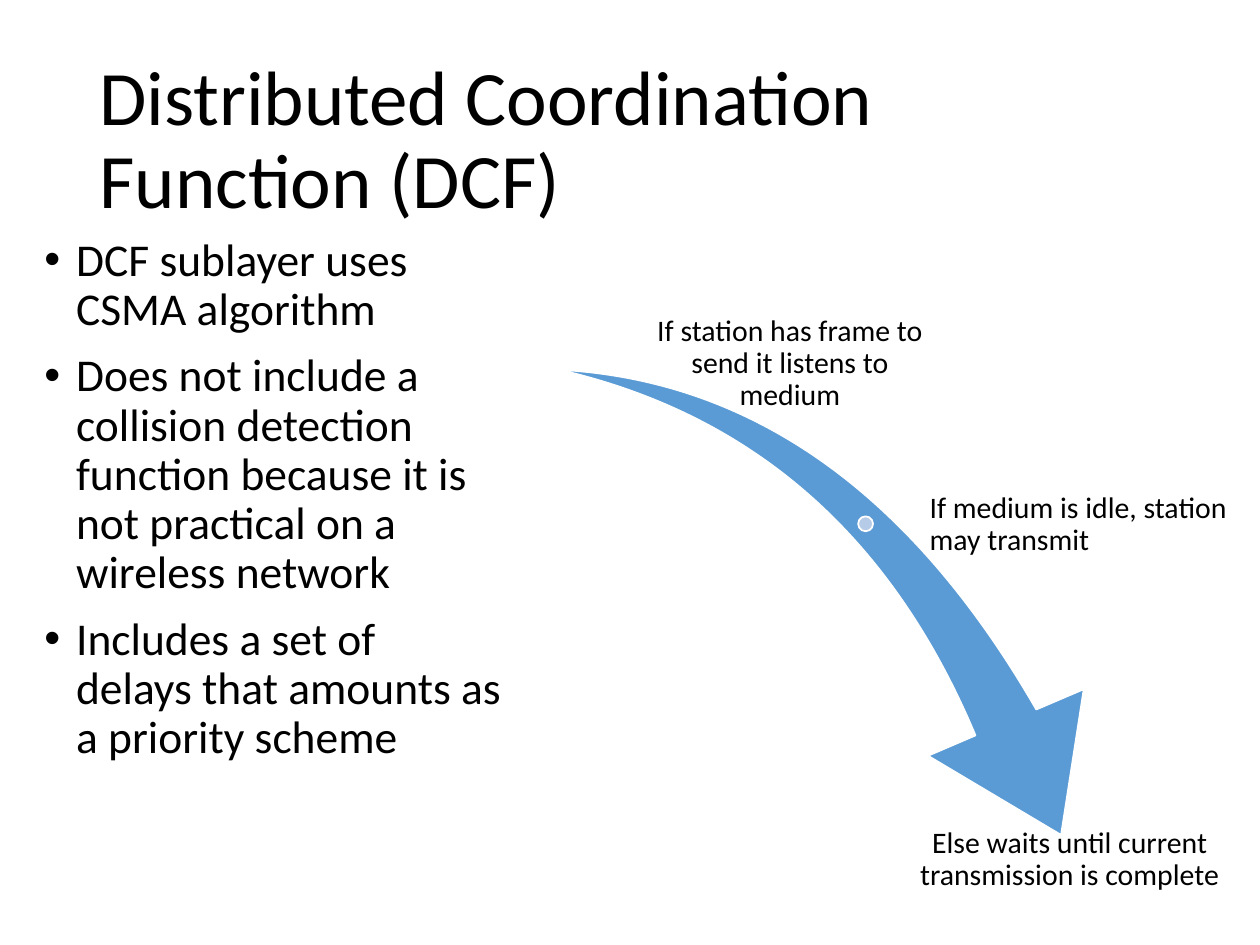
from dataclasses import dataclass

from pptx import Presentation
from pptx import util as u
from pptx.dml.color import RGBColor
from pptx.enum import shapes, text
from pptx.oxml import parse_xml
from pptx.oxml.ns import nsdecls


@dataclass(frozen=True)
class Theme:
    """Colours, font and type sizes of the slide."""
    font: str = "Calibri"
    ink: str = "000000"
    arrow: str = "5B9BD5"
    dot: str = "B5CBE7"
    outline: str = "FFFFFF"
    title_size: int = 44
    body_size: int = 26
    label_size: int = 17


@dataclass(frozen=True)
class Box:
    """A rectangle in centimetres."""
    left: float
    top: float
    width: float
    height: float

    def inside(self, left, top, width, height):
        """Return a box whose offset is measured from this one."""
        return Box(self.left + left, self.top + top, width, height)

    def lengths(self):
        """Return left, top, width and height as slide lengths."""
        return [u.Cm(value) for value in (self.left, self.top, self.width, self.height)]


THEME = Theme()
BULLETS = [
    "DCF sublayer uses CSMA algorithm",
    "Does not include a collision detection function because it is not practical on a wireless network",
    "Includes a set of delays that amounts as a priority scheme",
]
CENTER, LEFT = text.PP_ALIGN.CENTER, text.PP_ALIGN.LEFT
BOTTOM, MIDDLE, TOP = text.MSO_ANCHOR.BOTTOM, text.MSO_ANCHOR.MIDDLE, text.MSO_ANCHOR.TOP
LABELS = [
    ("If station has frame to send it listens to medium", (2.13, 0, 5.59, 2.21), CENTER, BOTTOM),
    ("If medium is idle, station may transmit", (7.69, 3.32, 6.65, 2.21), LEFT, MIDDLE),
    ("Else waits until current transmission is complete", (6.78, 10.49, 7.57, 2.21), CENTER, TOP),
]


def place(shape, box):
    """Move and size a shape to fill the box."""
    shape.left, shape.top, shape.width, shape.height = box.lengths()


def add_bullet(paragraph, indent):
    """Give a paragraph a round bullet and a hanging indent."""
    properties = paragraph._p.get_or_add_pPr()
    properties.set("marL", str(indent))
    properties.set("indent", str(-indent))
    properties.append(parse_xml(f'<a:buFont {nsdecls("a")} typeface="Arial"/>'))
    properties.append(parse_xml(f'<a:buChar {nsdecls("a")} char="•"/>'))


def write(frame, lines, size, align=LEFT, anchor=TOP, inset=None, gap=0, indent=None):
    """Write lines as formatted paragraphs into a text frame."""
    frame.word_wrap = True
    frame.auto_size = text.MSO_AUTO_SIZE.NONE
    frame.vertical_anchor = anchor
    if inset is not None:
        frame.margin_left = frame.margin_right = u.Cm(inset)
        frame.margin_top = frame.margin_bottom = u.Cm(inset)
    for index, line in enumerate(lines):
        paragraph = frame.add_paragraph() if index else frame.paragraphs[0]
        paragraph.alignment = align
        paragraph.line_spacing = 0.9
        paragraph.space_before = u.Pt(gap if index else 0)
        if indent is not None:
            add_bullet(paragraph, u.Cm(indent))
        run = paragraph.add_run()
        run.text = line
        run.font.name = THEME.font
        run.font.size = u.Pt(size)
        run.font.color.rgb = RGBColor.from_string(THEME.ink)


def add_filled_shape(slide, kind, box, fill):
    """Add a preset shape with a solid fill and a thin outline."""
    shape = slide.shapes.add_shape(kind, *box.lengths())
    shape.shadow.inherit = False
    shape.fill.solid()
    shape.fill.fore_color.rgb = RGBColor.from_string(fill)
    shape.line.color.rgb = RGBColor.from_string(THEME.outline)
    shape.line.width = u.Pt(1)
    return shape


def build_title(slide, box):
    """Fill the title placeholder."""
    title = slide.shapes.title
    place(title, box)
    write(title.text_frame, ["Distributed Coordination Function (DCF)"],
          THEME.title_size, anchor=MIDDLE)


def build_body(slide, box):
    """Fill the body placeholder with the bullet list."""
    body = slide.placeholders[1]
    place(body, box)
    write(body.text_frame, BULLETS, THEME.body_size, gap=10, indent=0.64)


def build_process(slide, box):
    """Draw the swoosh arrow with its dot and step labels."""
    arrow = add_filled_shape(slide, shapes.MSO_SHAPE.SWOOSH_ARROW,
                             box.inside(0, 1.67, 11.89, 8.28), THEME.arrow)
    arrow.rotation = 73.3
    arrow.adjustments[0], arrow.adjustments[1] = 0.16, 0.31
    add_filled_shape(slide, shapes.MSO_SHAPE.OVAL,
                     box.inside(6.3, 4.26, 0.3, 0.3), THEME.dot)
    for label, offsets, align, anchor in LABELS:
        textbox = slide.shapes.add_textbox(*box.inside(*offsets).lengths())
        write(textbox.text_frame, [label], THEME.label_size,
              align=align, anchor=anchor, inset=0.05)


def main():
    """Build and save the presentation."""
    presentation = Presentation()
    presentation.slide_width, presentation.slide_height = u.Cm(25.4), u.Cm(19.05)
    slide = presentation.slides.add_slide(presentation.slide_layouts[1])
    build_title(slide, Box(1.75, 1.02, 21.9, 3.68))
    build_body(slide, Box(0.64, 4.65, 9.73, 13.77))
    build_process(slide, Box(11, 6.15, 14.35, 12.7))
    presentation.save("out.pptx")


if __name__ == "__main__":
    main()
